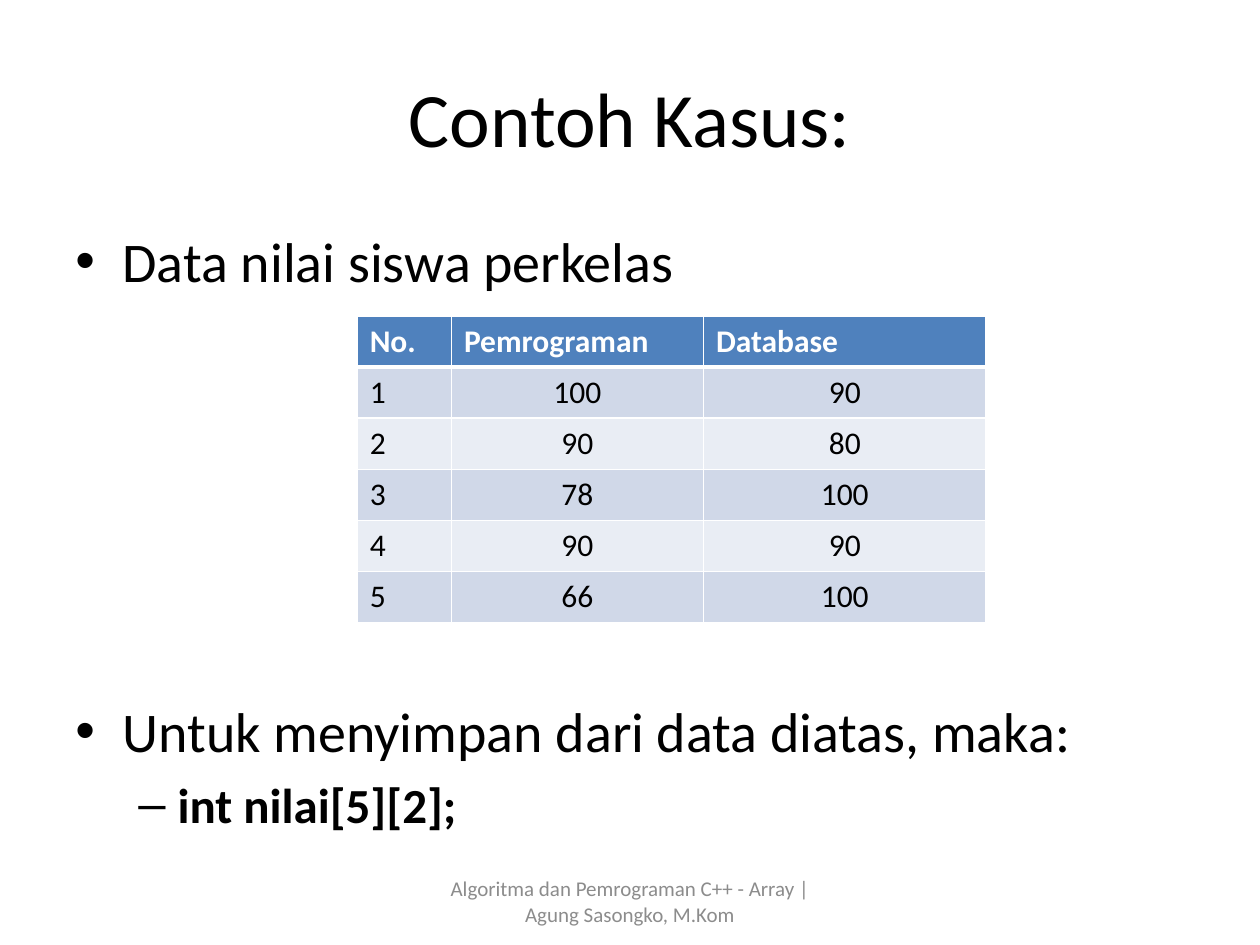
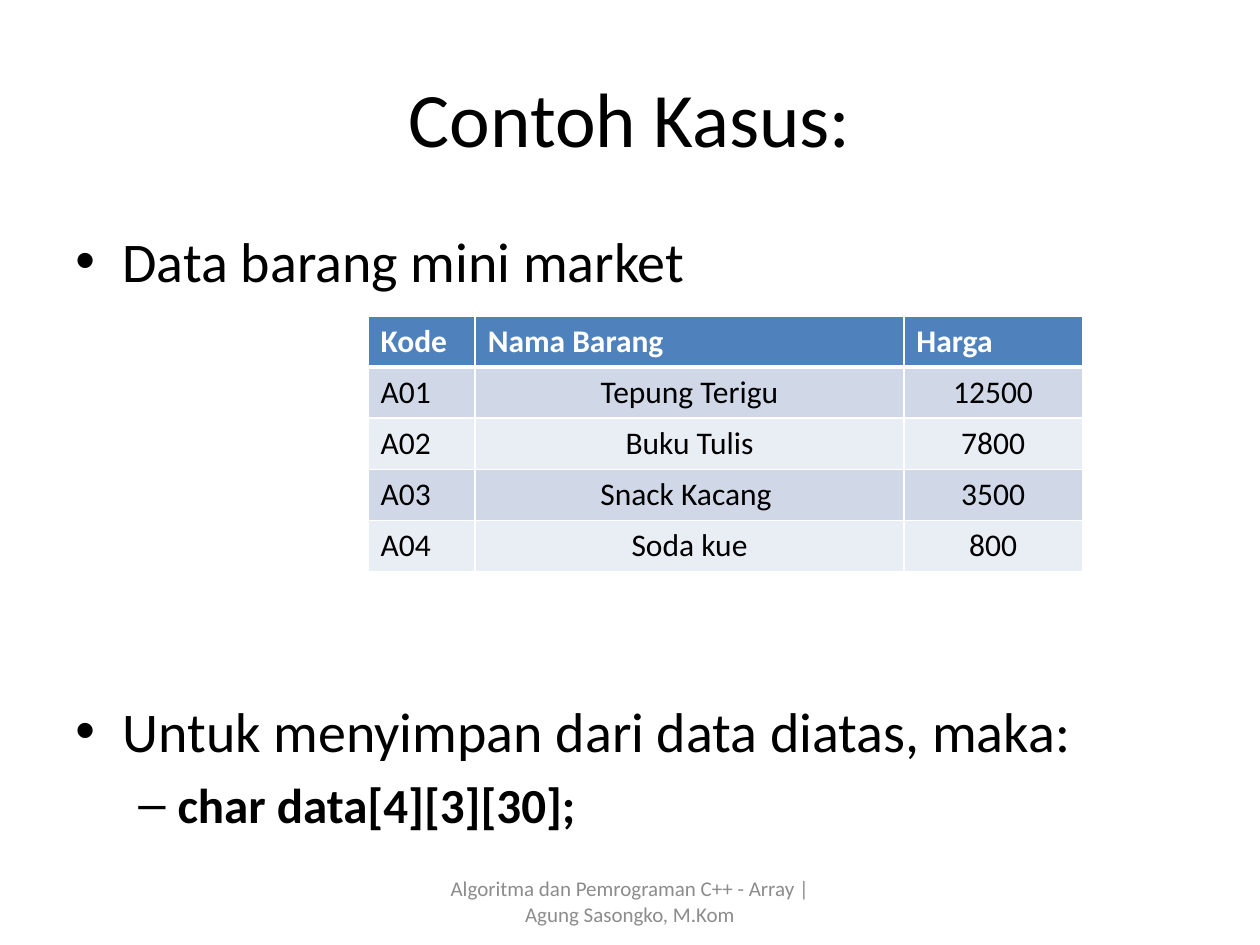
import pptx
import pptx.util
import pptx.dml.color
import pptx.enum.text
import pptx.oxml
import pptx.oxml.ns

Cm = pptx.util.Cm
Pt = pptx.util.Pt
Align = pptx.enum.text.PP_ALIGN
Anchor = pptx.enum.text.MSO_ANCHOR

hues = {
    "ink": "000000",
    "paper": "FFFFFF",
    "foot": "8C8C8C",
    "head": "4F81BD",
    "odd": "D0D8E8",
    "even": "E9EDF4",
}

cases = [
    {
        "topic": "Data nilai siswa perkelas",
        "code": "int nilai[5][2];",
        "left": 7.2,
        "cols": [1.9, 5.08, 5.7],
        "rows": [
            ["No.", "Pemrograman", "Database"],
            ["1", "100", "90"],
            ["2", "90", "80"],
            ["3", "78", "100"],
            ["4", "90", "90"],
            ["5", "66", "100"],
        ],
    },
    {
        "topic": "Data barang mini market",
        "code": "char data[4][3][30];",
        "left": 7.42,
        "cols": [2.16, 8.64, 3.6],
        "rows": [
            ["Kode", "Nama Barang", "Harga"],
            ["A01", "Tepung Terigu", "12500"],
            ["A02", "Buku Tulis", "7800"],
            ["A03", "Snack Kacang ", "3500"],
            ["A04", "Soda kue", "800"],
        ],
    },
]


def write(frame, text, size=18, hue="ink", bold=False, align=Align.LEFT,
          gap=0, mark=None, dent=0, hang=0):
    para = frame.paragraphs[-1]
    if para.runs:
        para = frame.add_paragraph()
    para.alignment = align
    para.space_before = Pt(gap)
    if mark:
        props = para._p.get_or_add_pPr()
        props.set("marL", str(Cm(dent)))
        props.set("indent", str(-Cm(hang)))
        font = pptx.oxml.ns.qn("a:buFont")
        props.append(props.makeelement(font, {"typeface": "Arial"}))
        char = pptx.oxml.ns.qn("a:buChar")
        props.append(props.makeelement(char, {"char": mark}))
    run = para.add_run()
    run.text = text
    run.font.name = "Calibri"
    run.font.size = Pt(size)
    run.font.bold = bold
    run.font.color.rgb = pptx.dml.color.RGBColor.from_string(hues[hue])


def frame_at(slide, left, top, width, height, anchor=Anchor.TOP):
    box = slide.shapes.add_textbox(Cm(left), Cm(top), Cm(width), Cm(height))
    box.text_frame.word_wrap = True
    box.text_frame.vertical_anchor = anchor
    return box.text_frame


deck = pptx.Presentation()
deck.slide_width = Cm(25.4)
deck.slide_height = Cm(19.05)
row_high = 1.03

for case in cases:
    slide = deck.slides.add_slide(deck.slide_layouts[6])

    title = frame_at(slide, 1.27, 0.76, 22.86, 3.18, Anchor.MIDDLE)
    write(title, "Contoh Kasus:", size=44, align=Align.CENTER)

    body = frame_at(slide, 1.27, 4.45, 22.86, 12.57)
    write(body, case["topic"], size=32, mark="•", dent=0.95, hang=0.95)
    write(body, "Untuk menyimpan dari data diatas, maka:", size=32,
          gap=230, mark="•", dent=0.95, hang=0.95)
    write(body, case["code"], size=28, bold=True,
          gap=6, mark="–", dent=2.06, hang=0.79)

    foot = frame_at(slide, 8.68, 17.66, 8.04, 1.01, Anchor.MIDDLE)
    write(foot, "Algoritma dan Pemrograman C++ - Array | Agung Sasongko, M.Kom",
          size=12, hue="foot", align=Align.CENTER)

    rows, cols = case["rows"], case["cols"]
    table = slide.shapes.add_table(
        len(rows), len(cols), Cm(case["left"]), Cm(6.37),
        Cm(sum(cols)), Cm(row_high * len(rows))).table
    for col, width in zip(table.columns, cols):
        col.width = Cm(width)
    for r, row in enumerate(rows):
        table.rows[r].height = Cm(row_high)
        head = r == 0
        fill = "head" if head else "odd" if r % 2 else "even"
        for c, text in enumerate(row):
            cell = table.cell(r, c)
            write(cell.text_frame, text, bold=head,
                  hue="paper" if head else "ink",
                  align=Align.LEFT if head or c == 0 else Align.CENTER)
            props = cell._tc.get_or_add_tcPr()
            for side in "LRTB":
                thick = (r, side) in [(0, "B"), (1, "T")]
                props.append(pptx.oxml.parse_xml(
                    f'<a:ln{side} {pptx.oxml.ns.nsdecls("a")} '
                    f'w="{Pt(3 if thick else 1)}"><a:solidFill>'
                    f'<a:srgbClr val="{hues["paper"]}"/>'
                    f'</a:solidFill></a:ln{side}>'))
            cell.fill.solid()
            cell.fill.fore_color.rgb = pptx.dml.color.RGBColor.from_string(hues[fill])

deck.save("out.pptx")
